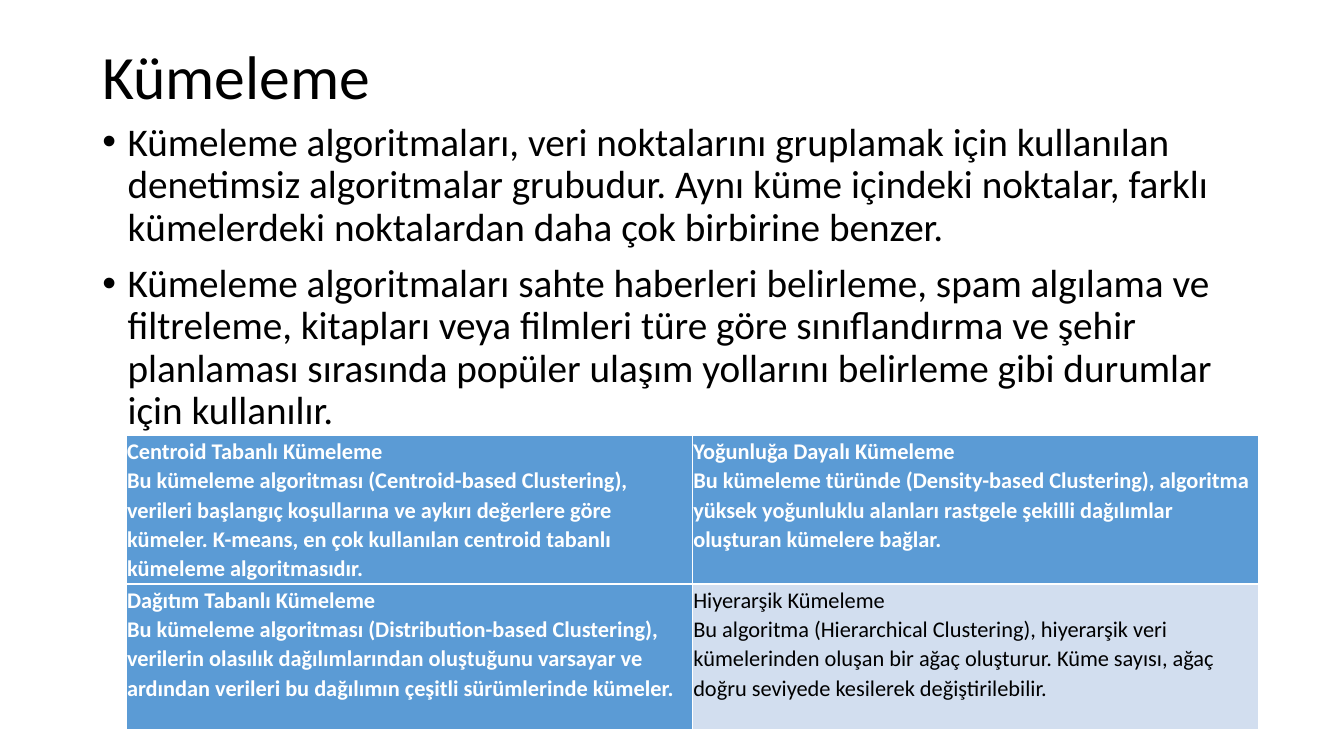
import pptx
import pptx.dml.color
import pptx.enum.text
import pptx.util

Pt = pptx.util.Pt
RGBColor = pptx.dml.color.RGBColor

BLACK = RGBColor(0x00, 0x00, 0x00)
WHITE = RGBColor(0xFF, 0xFF, 0xFF)
BLUE = RGBColor(0x5B, 0x9B, 0xD5)
PALE_BLUE = RGBColor(0xD2, 0xDE, 0xEF)
FONT = "Calibri"

BULLETS = [
    "Kümeleme algoritmaları, veri noktalarını gruplamak için kullanılan denetimsiz "
    "algoritmalar grubudur. Aynı küme içindeki noktalar, farklı kümelerdeki noktalardan "
    "daha çok birbirine benzer.",
    "Kümeleme algoritmaları sahte haberleri belirleme, spam algılama ve filtreleme, "
    "kitapları veya filmleri türe göre sınıflandırma ve şehir planlaması sırasında popüler "
    "ulaşım yollarını belirleme gibi durumlar için kullanılır.",
]

METHODS = [
    [
        ("Centroid Tabanlı Kümeleme",
         "Bu kümeleme algoritması (Centroid-based Clustering), verileri başlangıç koşullarına "
         "ve aykırı değerlere göre kümeler. K-means, en çok kullanılan centroid tabanlı "
         "kümeleme algoritmasıdır."),
        ("Yoğunluğa Dayalı Kümeleme",
         "Bu kümeleme türünde (Density-based Clustering), algoritma yüksek yoğunluklu alanları "
         "rastgele şekilli dağılımlar oluşturan kümelere bağlar."),
    ],
    [
        ("Dağıtım Tabanlı Kümeleme",
         "Bu kümeleme algoritması (Distribution-based Clustering), verilerin olasılık "
         "dağılımlarından oluştuğunu varsayar ve ardından verileri bu dağılımın çeşitli "
         "sürümlerinde kümeler."),
        ("Hiyerarşik Kümeleme",
         "Bu algoritma (Hierarchical Clustering), hiyerarşik veri kümelerinden oluşan bir ağaç "
         "oluşturur. Küme sayısı, ağaç doğru seviyede kesilerek değiştirilebilir."),
    ],
]


def place(sp, box):
    """Move a shape to a (left, top, width, height) box in points."""
    sp.left, sp.top, sp.width, sp.height = (Pt(v) for v in box)


def style(p, size, color, bold=False):
    """Format the font of a whole paragraph."""
    f = p.font
    f.name, f.size, f.bold = FONT, Pt(size), bold
    f.color.rgb = color


def fill_title(sp, box, text):
    """Write the slide title into its placeholder."""
    place(sp, box)
    tf = sp.text_frame
    tf.auto_size = pptx.enum.text.MSO_AUTO_SIZE.NONE
    tf.vertical_anchor = pptx.enum.text.MSO_ANCHOR.MIDDLE
    p = tf.paragraphs[0]
    p.text = text
    p.alignment = pptx.enum.text.PP_ALIGN.LEFT
    p.line_spacing = 0.9
    style(p, 44, BLACK)


def fill_bullets(sp, box, items):
    """Write the bulleted list into the body placeholder."""
    place(sp, box)
    tf = sp.text_frame
    tf.auto_size = pptx.enum.text.MSO_AUTO_SIZE.NONE
    tf.text = "\n".join(items)
    for p in tf.paragraphs:
        p.line_spacing = 0.9
        p.space_before = Pt(10)
        style(p, 28, BLACK)
        pPr = p._p.get_or_add_pPr()
        pPr.set("marL", str(Pt(18)))
        pPr.set("indent", str(-Pt(18)))


def add_methods(s, box, rows):
    """Add the grid of methods, with a header row and a header column."""
    size = len(rows), len(rows[0])
    table = s.shapes.add_table(*size, *(Pt(v) for v in box)).table
    table.first_col = True
    for i, row in enumerate(rows):
        for j, (name, description) in enumerate(row):
            cell = table.cell(i, j)
            header = i == 0 or j == 0
            cell.fill.solid()
            cell.fill.fore_color.rgb = BLUE if header else PALE_BLUE
            cell.margin_left = cell.margin_right = Pt(0.75)
            cell.margin_top = cell.margin_bottom = Pt(0.75)
            p = cell.text_frame.paragraphs[0]
            p.text = f"{name}\n{description}"
            p.line_spacing = 1.07
            p.space_after = Pt(8)
            style(p, 16, WHITE if header else BLACK, header)


def build_slide(prs):
    """Add the clustering slide."""
    s = prs.slides.add_slide(prs.slide_layouts[1])
    title, body = s.placeholders
    fill_title(title, (66, 29, 828, 55), "Kümeleme")
    fill_bullets(body, (66, 84, 828, 343), BULLETS)
    add_methods(s, (90, 311, 809, 208), METHODS)


def main():
    """Build and save the presentation."""
    prs = pptx.Presentation()
    prs.slide_width, prs.slide_height = Pt(960), Pt(540)
    build_slide(prs)
    prs.save("out.pptx")


if __name__ == "__main__":
    main()
